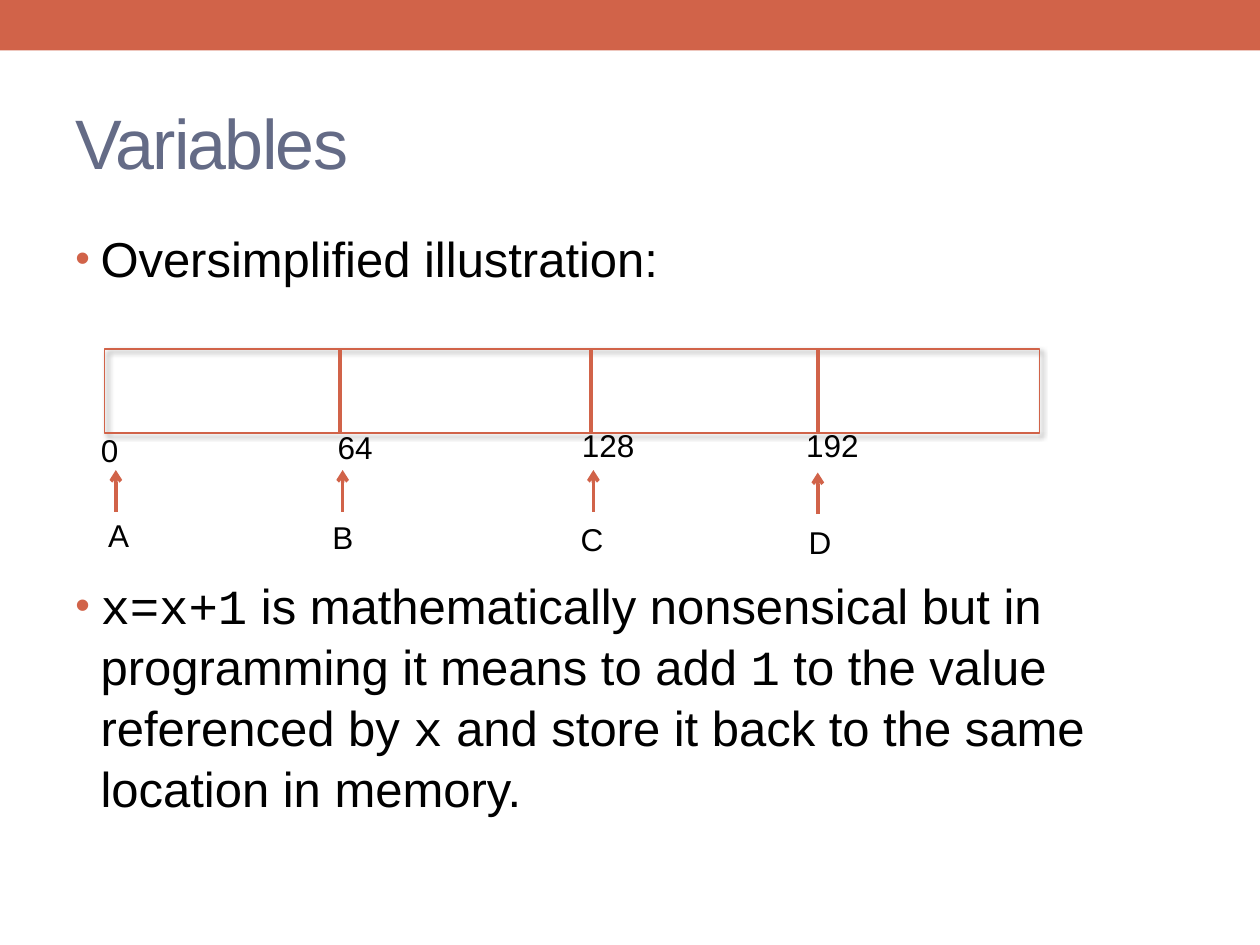
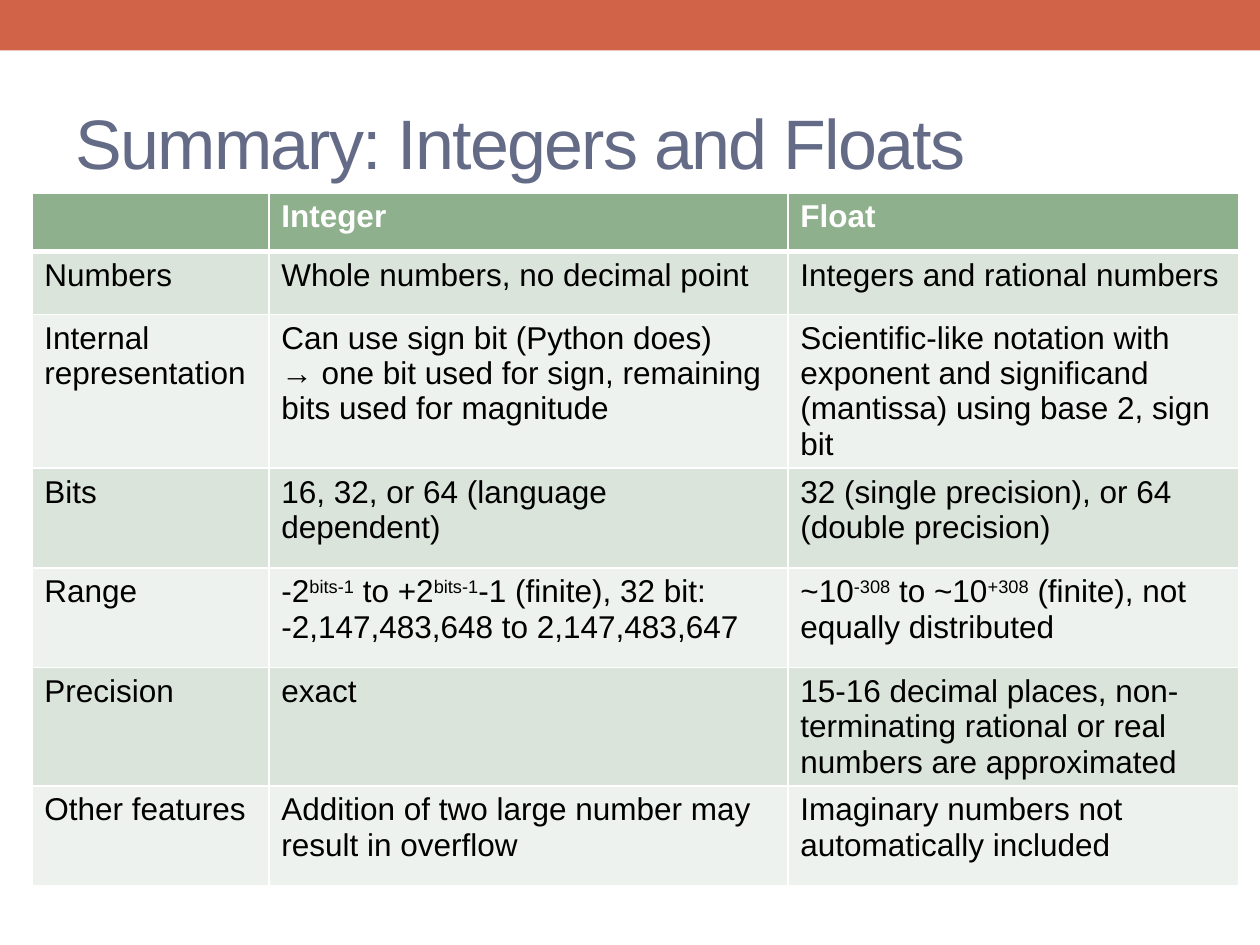
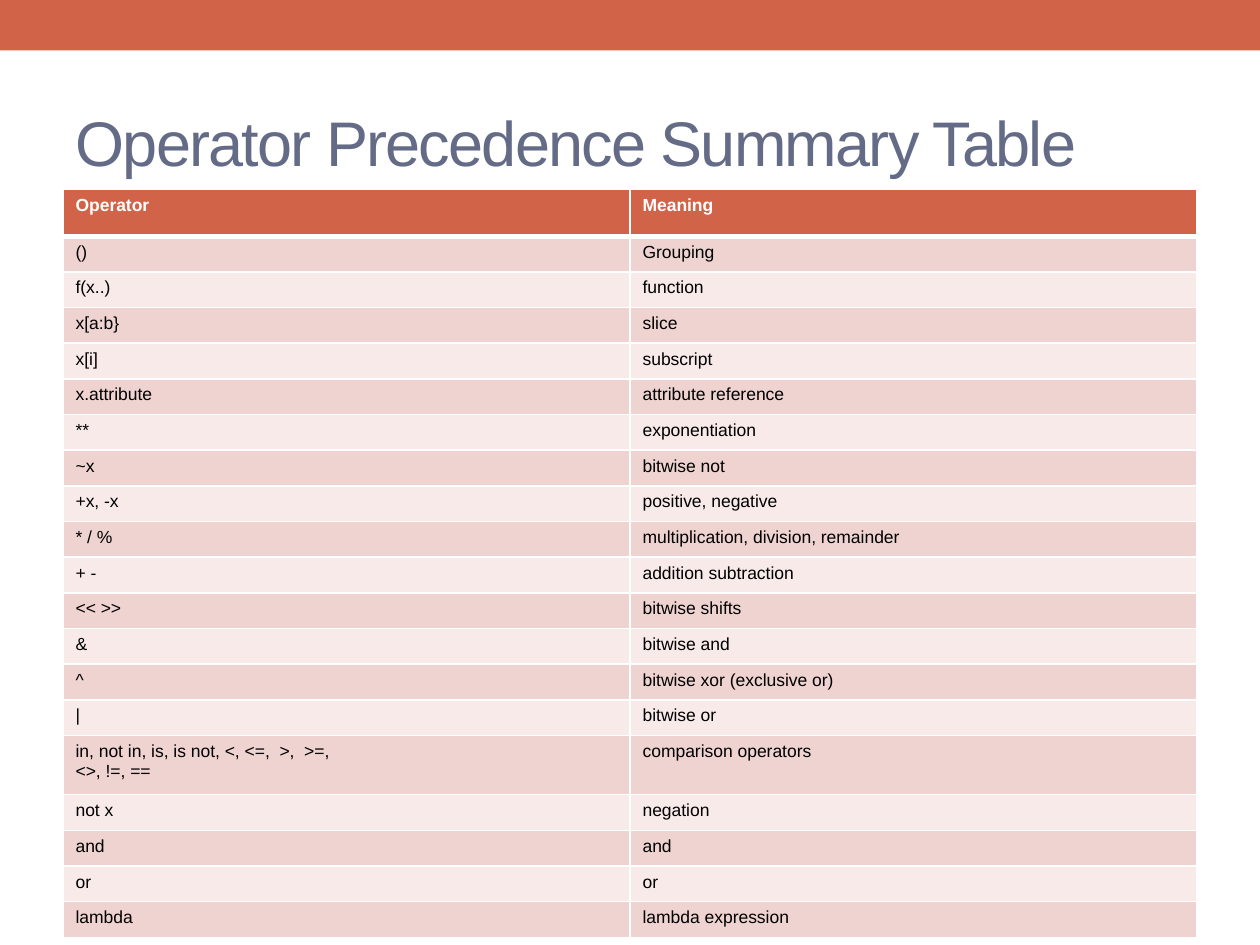
from lxml import etree
from pptx import Presentation
from pptx.dml import color
from pptx.enum import shapes, text
from pptx.oxml import ns
from pptx.util import Pt

ORANGE, SLATE, GREEN = "D16349", "646B86", "8FB08C"
BLACK, WHITE = "000000", "FFFFFF"
GREEN_BANDS = ("DBE4DA", "EEF2EE")
ORANGE_BANDS = ("EED3D0", "F7EAE9")


def rgb(value):
    return color.RGBColor.from_string(value)


def add_xml(parent, tag, **attributes):
    values = {name: str(value) for name, value in attributes.items()}
    return etree.SubElement(parent, ns.qn(tag), values)


def code(words):
    return words, {"name": "Courier New"}


def raised(words):
    return words, {"baseline": 30000}


class Deck:
    def __init__(self):
        self.presentation = Presentation()
        self.presentation.slide_width = Pt(720)
        self.presentation.slide_height = Pt(540)
        self.slide = None

    def add_slide(self, title, size=40):
        layout = self.presentation.slide_layouts[5]
        self.slide = self.presentation.slides.add_slide(layout)
        self.rectangle(0, 0, 720, 28.8, fill=ORANGE)
        shape = self.slide.shapes.title
        shape.left, shape.top, shape.width, shape.height = map(Pt, (36, 41.8, 648, 77.8))
        self.fill_text(shape.text_frame, [title], size=size, color=SLATE, spc=-100)
        frame = {"word_wrap": True, "auto_size": text.MSO_AUTO_SIZE.NONE,
                 "vertical_anchor": text.MSO_ANCHOR.MIDDLE}
        for name, value in frame.items():
            setattr(shape.text_frame, name, value)

    def format_run(self, run, values):
        for name, value in values.items():
            if name == "color":
                run.font.color.rgb = rgb(value)
            elif name == "size":
                run.font.size = Pt(value)
            elif name in ("spc", "baseline"):
                run._r.get_or_add_rPr().set(name, str(value))
            else:
                setattr(run.font, name, value)

    def fill_text(self, frame, paragraphs, **values):
        style = {"name": "Arial", "size": 18, "color": BLACK, "bold": False, **values}
        for index, content in enumerate(paragraphs):
            paragraph = frame.add_paragraph() if index else frame.paragraphs[0]
            paragraph.alignment = text.PP_ALIGN.LEFT
            for part in [content] if isinstance(content, str) else content:
                if part == "\n":
                    paragraph.add_line_break()
                    continue
                words, changes = (part, {}) if isinstance(part, str) else part
                run = paragraph.add_run()
                run.text = words
                self.format_run(run, {**style, **changes})

    def text_box(self, left, top, width, height, paragraphs, wrap=True, **values):
        shape = self.slide.shapes.add_textbox(*map(Pt, (left, top, width, height)))
        shape.text_frame.word_wrap = wrap
        self.fill_text(shape.text_frame, paragraphs, **values)
        return shape.text_frame

    def bullets(self, left, top, width, height, paragraphs, gap):
        frame = self.text_box(left, top, width, height, paragraphs, size=28)
        for index, paragraph in enumerate(frame.paragraphs):
            paragraph.line_spacing = 1.04
            paragraph.space_before = Pt(gap if index else 0)
            properties = paragraph._p.get_or_add_pPr()
            properties.set("marL", str(Pt(14.4)))
            properties.set("indent", str(-Pt(14.4)))
            add_xml(add_xml(properties, "a:buClr"), "a:srgbClr", val=ORANGE)
            add_xml(properties, "a:buSzPct", val=85000)
            add_xml(properties, "a:buFont", typeface="Arial")
            add_xml(properties, "a:buChar", char="•")

    def rectangle(self, left, top, width, height, fill=None, line=None):
        shape = self.slide.shapes.add_shape(
            shapes.MSO_SHAPE.RECTANGLE, *map(Pt, (left, top, width, height)))
        shape.shadow.inherit = False
        if fill:
            shape.fill.solid()
            shape.fill.fore_color.rgb = rgb(fill)
        else:
            shape.fill.background()
        if line:
            shape.line.color.rgb = rgb(line)
            shape.line.width = Pt(0.75)
        else:
            shape.line.fill.background()
        return shape

    def cast_shadow(self, shape):
        effects = shape._element.spPr.find(ns.qn("a:effectLst"))
        shadow = add_xml(effects, "a:outerShdw", blurRad=Pt(3), dist=Pt(2),
                         dir=45 * 60000, rotWithShape=0)
        add_xml(add_xml(shadow, "a:srgbClr", val=BLACK), "a:alpha", val=60000)

    def vertical_line(self, x, start, end, arrow=False):
        connector = self.slide.shapes.add_connector(
            shapes.MSO_CONNECTOR.STRAIGHT, *map(Pt, (x, start, x, end)))
        connector.line.color.rgb = rgb(ORANGE)
        connector.line.width = Pt(2.08)
        if arrow:
            add_xml(connector.line._get_or_add_ln(), "a:tailEnd", type="arrow")
        add_xml(connector._element.spPr, "a:effectLst")

    def fill_cell(self, cell, fill, bottom):
        properties = cell._tc.get_or_add_tcPr()
        for side, width in (("L", 1), ("R", 1), ("T", 1), ("B", bottom)):
            border = add_xml(properties, f"a:ln{side}", w=Pt(width))
            add_xml(add_xml(border, "a:solidFill"), "a:srgbClr", val=WHITE)
        cell.fill.solid()
        cell.fill.fore_color.rgb = rgb(fill)

    def table(self, left, top, widths, heights, rows, header, bands, size):
        area = map(Pt, (left, top, sum(widths), sum(heights)))
        table = self.slide.shapes.add_table(len(rows), len(widths), *area).table
        for column, width in zip(table.columns, widths):
            column.width = Pt(width)
        for index, (row, height) in enumerate(zip(table.rows, heights)):
            row.height = Pt(height)
            first = index == 0
            for cell, content in zip(row.cells, rows[index]):
                self.fill_cell(cell, header if first else bands[(index - 1) % 2],
                               3 if first else 1)
                if content:
                    paragraphs = [content] if isinstance(content, str) else content
                    self.fill_text(cell.text_frame, paragraphs, size=size, bold=first,
                                   color=WHITE if first else BLACK)


def add_variables(deck):
    deck.add_slide("Variables")
    deck.bullets(36, 126, 648, 396, [
        "Oversimplified illustration:",
        [code("x=x+1"), " is mathematically nonsensical but in programming it means to add ",
         code("1"), " to the value referenced by ", code("x"),
         " and store it back to the same location in memory."],
    ], gap=163)
    memory_top, memory_height = 199.4, 48
    memory = deck.rectangle(59.8, memory_top, 534.2, memory_height, line=ORANGE)
    deck.cast_shadow(memory)
    for x in (194.4, 337.7, 467.3):
        deck.vertical_line(x, memory_top, memory_top + memory_height)
    variables = [
        ("A", 54.7, 291.6, "0", 52.6, 242.6, 12.2, 66.2, 268.6),
        ("B", 182.9, 292.3, "64", 185.8, 241.2, 36, 195.8, 268.6),
        ("C", 324.7, 293.8, "128", 325.4, 239.8, 54, 339.1, 268.6),
        ("D", 455, 295.2, "192", 453.6, 239.8, 54, 467.3, 270),
    ]
    for (name, name_left, name_top, address, address_left, address_top,
         address_width, arrow_x, arrow_top) in variables:
        deck.text_box(name_left, name_top, 27.4, 28.8, [name], wrap=False)
        deck.text_box(address_left, address_top, address_width, 28.8, [address])
        deck.vertical_line(arrow_x, arrow_top + 23.8, arrow_top, arrow=True)


def add_number_summary(deck):
    deck.add_slide("Summary: Integers and Floats")
    rows = [
        ("", "Integer", "Float"),
        ("Numbers", "Whole numbers, no decimal point", "Integers and rational numbers"),
        ("Internal representation",
         ["Can use sign bit (Python does)",
          "→ one bit used for sign, remaining bits used for magnitude"],
         "Scientific-like notation with exponent and significand (mantissa) "
         "using base 2, sign bit"),
        ("Bits", "16, 32, or 64 (language dependent)",
         "32 (single precision), or 64 (double precision)"),
        ("Range",
         [["-2", raised("bits-1"), " to +2", raised("bits-1"), "-1 (finite), 32 bit:"],
          "-2,147,483,648 to 2,147,483,647"],
         [["~10", raised("-308"), " to ~10", raised("+308"),
           " (finite), not equally distributed"]]),
        ("Precision", "exact",
         "15-16 decimal places, non-terminating rational or real numbers are approximated"),
        ("Other features", "Addition of two large number may result in overflow",
         "Imaginary numbers not automatically included"),
    ]
    deck.table(18.2, 110.2, (135.4, 296.6, 257.8), [33.5, 36] + [57] * 5,
               rows, GREEN, GREEN_BANDS, 18)


def add_operator_summary(deck):
    deck.add_slide("Operator Precedence Summary Table", size=36)
    rows = [
        ("Operator", "Meaning"),
        ("()", "Grouping"),
        ("f(x..)", "function"),
        ("x[a:b}", "slice"),
        ("x[i]", "subscript"),
        ("x.attribute", "attribute reference"),
        ("**", "exponentiation"),
        ("~x", "bitwise not"),
        ("+x, -x", "positive, negative"),
        ("* / %", "multiplication, division, remainder"),
        ("+ -", "addition subtraction"),
        ("<< >>", "bitwise shifts"),
        ("&", "bitwise and"),
        ("^", "bitwise xor (exclusive or)"),
        ("|", "bitwise or"),
        ([["in, not in, is, is not, <, <=,  >,  >=,", "\n", "<>, !=, =="]],
         "comparison operators"),
        ("not x", "negation"),
        ("and", "and"),
        ("or", "or"),
        ("lambda", "lambda expression"),
    ]
    heights = [27] + [20.4] * 14 + [33.8] + [20.4] * 4
    deck.table(36, 108, (324, 324), heights, rows, ORANGE, ORANGE_BANDS, 10)


def main():
    deck = Deck()
    add_variables(deck)
    add_number_summary(deck)
    add_operator_summary(deck)
    deck.presentation.save("out.pptx")


if __name__ == "__main__":
    main()
